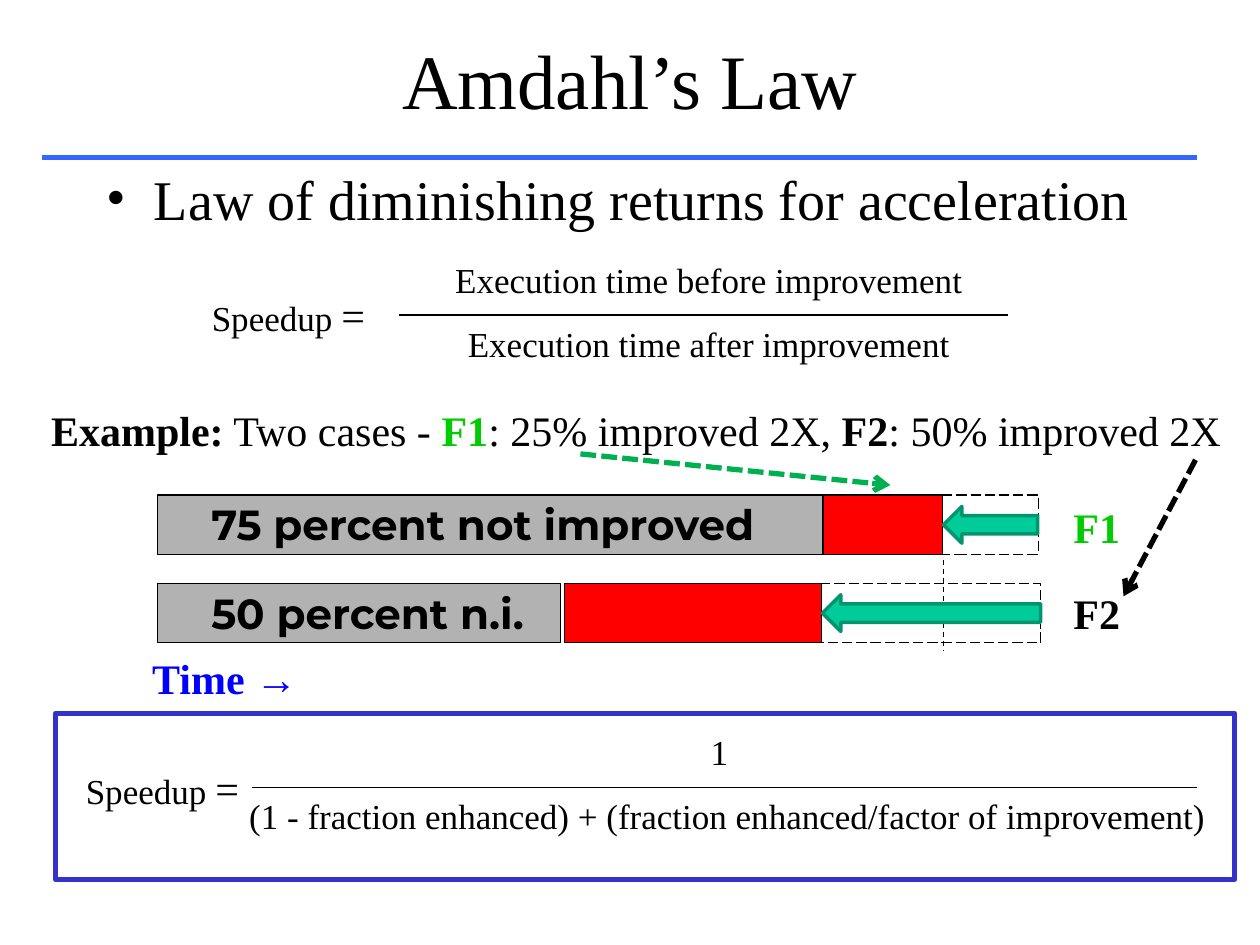
from dataclasses import dataclass
from typing import NamedTuple, Optional

from lxml import etree
from pptx import Presentation
from pptx.dml.color import RGBColor
from pptx.enum.dml import MSO_LINE
from pptx.enum.shapes import MSO_CONNECTOR, MSO_SHAPE
from pptx.enum.text import MSO_ANCHOR, PP_ALIGN
from pptx.oxml.ns import qn
from pptx.util import Cm, Pt

RECT, ARROW = MSO_SHAPE.RECTANGLE, MSO_SHAPE.LEFT_ARROW
STRAIGHT = MSO_CONNECTOR.STRAIGHT
LONG, DASH, DOT = MSO_LINE.LONG_DASH, MSO_LINE.DASH, MSO_LINE.SQUARE_DOT
LEFT, CENTER = PP_ALIGN.LEFT, PP_ALIGN.CENTER
TOP, MIDDLE = MSO_ANCHOR.TOP, MSO_ANCHOR.MIDDLE


@dataclass(frozen=True)
class Theme:
    serif: str = "Times New Roman"
    sans: str = "Montserrat"
    glyph: str = "Arial"
    title: float = 44
    body: float = 32
    label: float = 24
    small: float = 20
    thin: float = 0.75
    edge: float = 2
    thick: float = 3
    black: str = "000000"
    gray: str = "B2B2B2"
    red: str = "FF0000"
    teal: str = "00CC99"
    pine: str = "00956F"
    green: str = "00CC00"
    leaf: str = "00B050"
    blue: str = "0000FF"
    rule: str = "3366FF"
    frame: str = "3333CC"


T = Theme()


class Box(NamedTuple):
    """Left, top, width and height in centimetres."""
    x: float
    y: float
    w: float
    h: float


class Run(NamedTuple):
    text: str
    size: float = T.label
    color: str = T.black
    bold: bool = False
    font: str = T.serif


class Para(NamedTuple):
    runs: list[Run]
    form: dict = {}


class Line(NamedTuple):
    start: tuple[float, float]
    end: tuple[float, float]
    color: str = T.black
    width: float = T.thin
    dash: Optional[MSO_LINE] = None
    head: bool = False


class Bar(NamedTuple):
    """One case: edges of its parts in centimetres."""
    top: float
    gray: float
    red: tuple[float, float]
    ghost: tuple[float, float]
    arrow: tuple[float, float]
    text: str


def place(shape, box: Box) -> None:
    for name, value in zip(("left", "top", "width", "height"), box):
        setattr(shape, name, Cm(value))


def write(frame, paras: list[Para]) -> None:
    for i, para in enumerate(paras):
        p = frame.paragraphs[0] if i == 0 else frame.add_paragraph()
        for name, value in para.form.items():
            setattr(p, name, value)
        for item in para.runs:
            run = p.add_run()
            run.text = item.text
            form = {"size": Pt(item.size), "bold": item.bold, "name": item.font}
            for name, value in form.items():
                setattr(run.font, name, value)
            run.font.color.rgb = RGBColor.from_string(item.color)


def label(slide, box: Box, paras: list[Para], side: float = 0.25) -> None:
    shape = slide.shapes.add_textbox(*map(Cm, box))
    form = {"word_wrap": True, "margin_left": Cm(side), "margin_right": Cm(side)}
    for name, value in form.items():
        setattr(shape.text_frame, name, value)
    write(shape.text_frame, paras)


def stroke(line, color: str, width: float, dash: Optional[MSO_LINE]) -> None:
    line.color.rgb = RGBColor.from_string(color)
    line.width = Pt(width)
    if dash:
        line.dash_style = dash


def block(slide, box: Box, fill: Optional[str] = None, color: str = T.black,
          width: float = T.thin, dash: Optional[MSO_LINE] = None, kind=RECT) -> None:
    shape = slide.shapes.add_shape(kind, *map(Cm, box))
    shape.shadow.inherit = False
    if fill:
        shape.fill.solid()
        shape.fill.fore_color.rgb = RGBColor.from_string(fill)
    else:
        shape.fill.background()
    stroke(shape.line, color, width, dash)


def draw(slide, item: Line) -> None:
    link = slide.shapes.add_connector(STRAIGHT, *map(Cm, item.start + item.end))
    stroke(link.line, item.color, item.width, item.dash)
    if item.head:
        etree.SubElement(link.line._get_or_add_ln(), qn("a:tailEnd"), type="arrow")
    etree.SubElement(link._element.spPr, qn("a:effectLst"))


def ratio(slide, lead: Box, main: Box, line: Line, top: str, base: str,
          side: float = 0.25, shift: float = 0) -> None:
    """Draw 'Speedup =' with a fraction; shift indents the denominator."""
    draw(slide, line)
    label(slide, lead, [Para([Run("Speedup ", T.small), Run("=")])])
    label(slide, main, [Para([Run(top, T.small)], {"alignment": CENTER}),
                        Para([Run(base, T.small)],
                             {"alignment": CENTER, "space_before": Pt(12.5)})], side)
    if shift:
        p = slide.shapes[-1].text_frame.paragraphs[-1]
        p._p.get_or_add_pPr().set("marL", str(Cm(shift)))


def heads(slide) -> None:
    title, body = slide.placeholders
    place(title, Box(1.9, 0, 21.6, 3.18))
    title.text_frame.vertical_anchor = MIDDLE
    write(title.text_frame, [Para([Run("Amdahl’s Law", T.title)], {"alignment": CENTER})])
    place(body, Box(1.9, 3.18, 21.6, 13.77))
    body.text_frame.vertical_anchor = TOP
    text = "Law of diminishing returns for acceleration"
    write(body.text_frame, [Para([Run(text, T.body)],
                                 {"alignment": LEFT, "space_before": Pt(0)})])
    pr = body.text_frame.paragraphs[0]._p.get_or_add_pPr()
    for name, value in {"marL": Cm(0.95), "indent": Cm(-0.95)}.items():
        pr.set(name, str(value))
    etree.SubElement(pr, qn("a:buFont"), typeface=T.serif)
    etree.SubElement(pr, qn("a:buChar"), char="•")


def cases(slide, bars: list[Bar]) -> None:
    tall, start, slim = 1.2, 3.18, 0.74
    for bar in bars:
        for (a, b), fill, dash in ((bar.ghost, None, LONG), (bar.red, T.red, None),
                                   ((start, bar.gray), T.gray, None)):
            block(slide, Box(a, bar.top, b - a, tall), fill, dash=dash)
        label(slide, Box(4.01, bar.top - 0.05, 12.06, 1.27),
              [Para([Run(bar.text, bold=True, font=T.sans)])])
    draw(slide, Line((19.02, 11.28), (19.02, 13.13), dash=DASH))
    for bar in bars:
        a, b = bar.arrow
        block(slide, Box(a, bar.top + (tall - slim) / 2, b - a, slim),
              T.teal, T.pine, T.edge, kind=ARROW)


def main() -> None:
    deck = Presentation()
    deck.slide_width, deck.slide_height = Cm(25.4), Cm(19.05)
    slide = deck.slides.add_slide(deck.slide_layouts[1])
    heads(slide)
    draw(slide, Line((0.85, 3.18), (24.13, 3.18), T.rule, T.thick))
    ratio(slide, Box(4.02, 5.72, 3.62, 1.27), Box(8.26, 5.08, 12.06, 2.39),
          Line((8.05, 6.35), (20.32, 6.35)),
          "Execution time before improvement", "Execution time after improvement")
    label(slide, Box(0.78, 8.03, 24.15, 2.29), [Para([
        Run("Example:", bold=True), Run(" Two cases - "),
        Run("F1", color=T.green, bold=True), Run(": 25% improved 2X, "),
        Run("F2", bold=True), Run(": 50% improved 2X")])])
    cases(slide, [
        Bar(9.98, 16.59, (15.04, 19), (17.96, 20.93), (19.02, 20.92),
            "75 percent not improved"),
        Bar(11.76, 11.3, (11.38, 16.56), (11.38, 20.98), (16.58, 20.98),
            "50 percent n.i.")])
    label(slide, Box(21.39, 9.98, 2.54, 3.02), [
        Para([Run("F1", color=T.green, bold=True)]),
        Para([Run("F2", bold=True)], {"line_spacing": 1.2, "space_before": Pt(15)})])
    draw(slide, Line((11.7, 9.15), (17.95, 9.78), T.leaf, T.thick, DOT, True))
    draw(slide, Line((24.1, 9.27), (22.65, 12.02), T.black, T.thick, DOT, True))
    label(slide, Box(2.82, 13.03, 17.8, 1.27), [Para([
        Run("Time ", color=T.blue, bold=True),
        Run("→", color=T.blue, bold=True, font=T.glyph)])])
    block(slide, Box(1.12, 14.38, 23.77, 3.35), color=T.frame, width=T.thick)
    ratio(slide, Box(1.48, 15.24, 3.62, 1.27), Box(4.65, 14.6, 19.7, 2.39),
          Line((5.08, 15.88), (24.13, 15.88)), "1",
          "(1 - fraction enhanced) + (fraction enhanced/factor of improvement)", 0, 0.33)
    deck.save("out.pptx")


if __name__ == "__main__":
    main()
